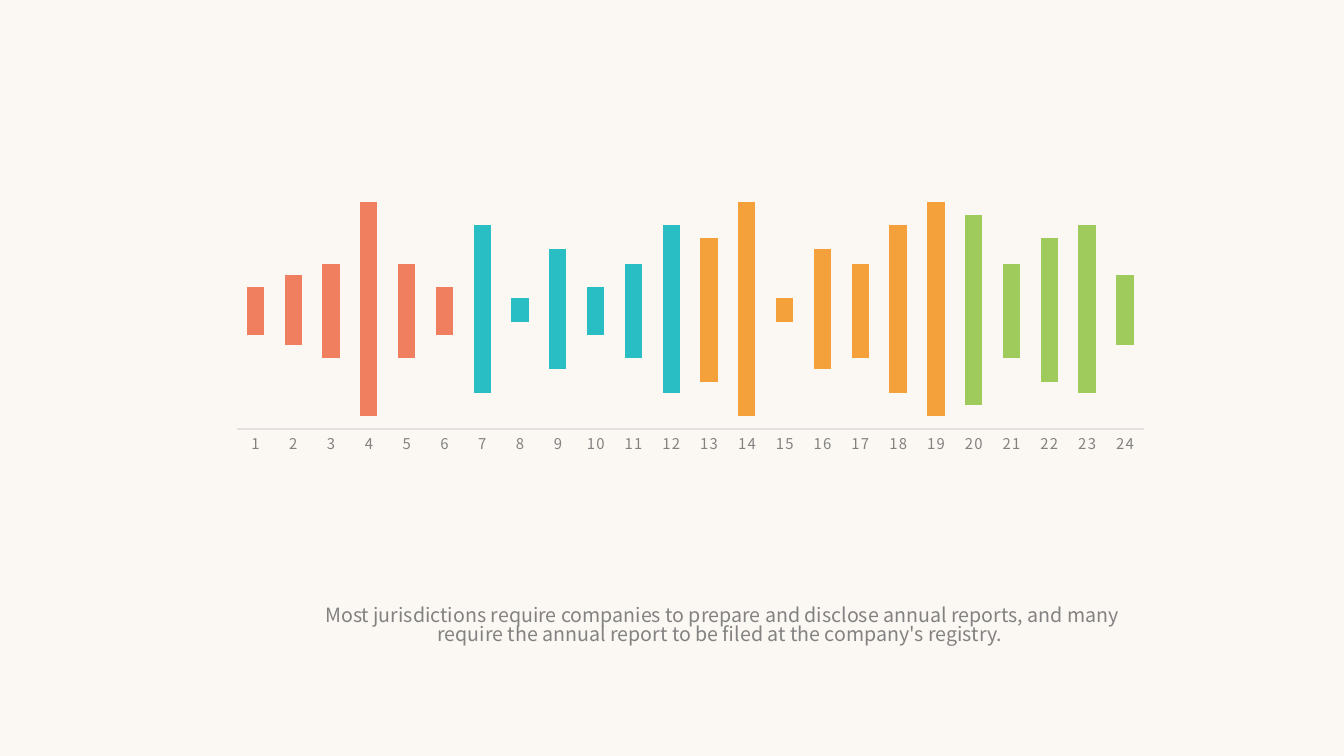
from lxml import etree
from pptx import Presentation
from pptx.chart.data import CategoryChartData as Data
from pptx.dml.color import RGBColor
from pptx.enum.chart import XL_CHART_TYPE as Kind, XL_TICK_MARK as Tick
from pptx.enum.text import MSO_AUTO_SIZE as Fit, PP_ALIGN as Align
from pptx.oxml.ns import qn
from pptx.util import Inches, Pt

FACE = "Noto Sans CJK SC"


def tint(color, code):
    color.rgb = RGBColor.from_string(code)


def style(font, size, code):
    for key, val in {"name": FACE, "size": Pt(size), "bold": False}.items():
        setattr(font, key, val)
    tint(font.color, code)


# Slide
prs = Presentation()
prs.slide_width, prs.slide_height = Inches(13.33), Inches(7.5)
slide = prs.slides.add_slide(prs.slide_layouts[6])
back = slide.background.fill
back.solid()
tint(back.fore_color, "FBF7F2")

# Chart data: a hidden base lifts each bar
base = [44, 39, 33, 6, 33, 44, 17, 50, 28, 44, 33, 17,
        22, 6, 50, 28, 33, 17, 6, 11, 33, 22, 17, 39]
bars = [22, 33, 44, 100, 44, 22, 78, 11, 56, 22, 44, 78,
        67, 100, 11, 56, 44, 78, 100, 89, 44, 67, 78, 33]
data = Data()
data.categories = [str(n + 1) for n in range(len(bars))]
data.add_series("Series 1", base)
data.add_series("Series 2", bars)
chart = slide.shapes.add_chart(Kind.COLUMN_STACKED, Inches(1.7), Inches(1.78),
                               Inches(9.65), Inches(3.12), data).chart
chart.has_legend = chart.has_title = False
style(chart.font, 10, "3F3F3F")

# Bars, coloured in groups
plot = chart.plots[0]
for key, val in {"gap_width": 119, "overlap": 100, "vary_by_categories": False}.items():
    setattr(plot, key, val)
low, high = plot.series
low.format.fill.background()
low.format.line.fill.background()
high.format.fill.solid()
tint(high.format.fill.fore_color, "F07F60")
groups = [("28BEC3", 6, 12), ("F4A03B", 12, 19), ("9ECB5B", 19, 24)]
for code, first, last in groups:
    for n in range(first, last):
        fill = high.points[n].format.fill
        fill.solid()
        tint(fill.fore_color, code)

# Axes
axis = chart.category_axis
axis.major_tick_mark = axis.minor_tick_mark = Tick.NONE
axis.has_major_gridlines = False
style(axis.tick_labels.font, 10.6, "828282")
for run in axis._element.iter(qn("a:defRPr")):
    run.set("spc", "100")
tint(axis.format.line.color, "E2E2E2")
axis.format.line.width = Pt(0.75)
scale = {"visible": False, "has_major_gridlines": False, "minimum_scale": 0,
         "maximum_scale": 111, "major_unit": 11}
for key, val in scale.items():
    setattr(chart.value_axis, key, val)

# Inner plot area
area = chart._chartSpace.chart.plotArea
for old in area.findall(qn("c:layout")):
    area.remove(old)
layout = etree.Element(qn("c:layout"))
area.insert(0, layout)
manual = etree.SubElement(layout, qn("c:manualLayout"))
place = {"layoutTarget": "inner", "xMode": "edge", "yMode": "edge",
         "x": "0.067", "y": "0.037", "w": "0.933", "h": "0.757"}
for key, val in place.items():
    etree.SubElement(manual, qn("c:" + key)).set("val", val)

# Caption
box = slide.shapes.add_textbox(Inches(3.06), Inches(5.98), Inches(8.21), Inches(0.57))
frame = box.text_frame
frame.word_wrap = True
frame.auto_size = Fit.SHAPE_TO_FIT_TEXT
para = frame.paragraphs[0]
para.alignment = Align.CENTER
para.line_spacing = 0.8
run = para.add_run()
run.text = ("Most jurisdictions require companies to prepare and disclose annual reports, "
            "and many require the annual report to be filed at the company's registry. ")
style(run.font, 14, "828282")

prs.save("out.pptx")
